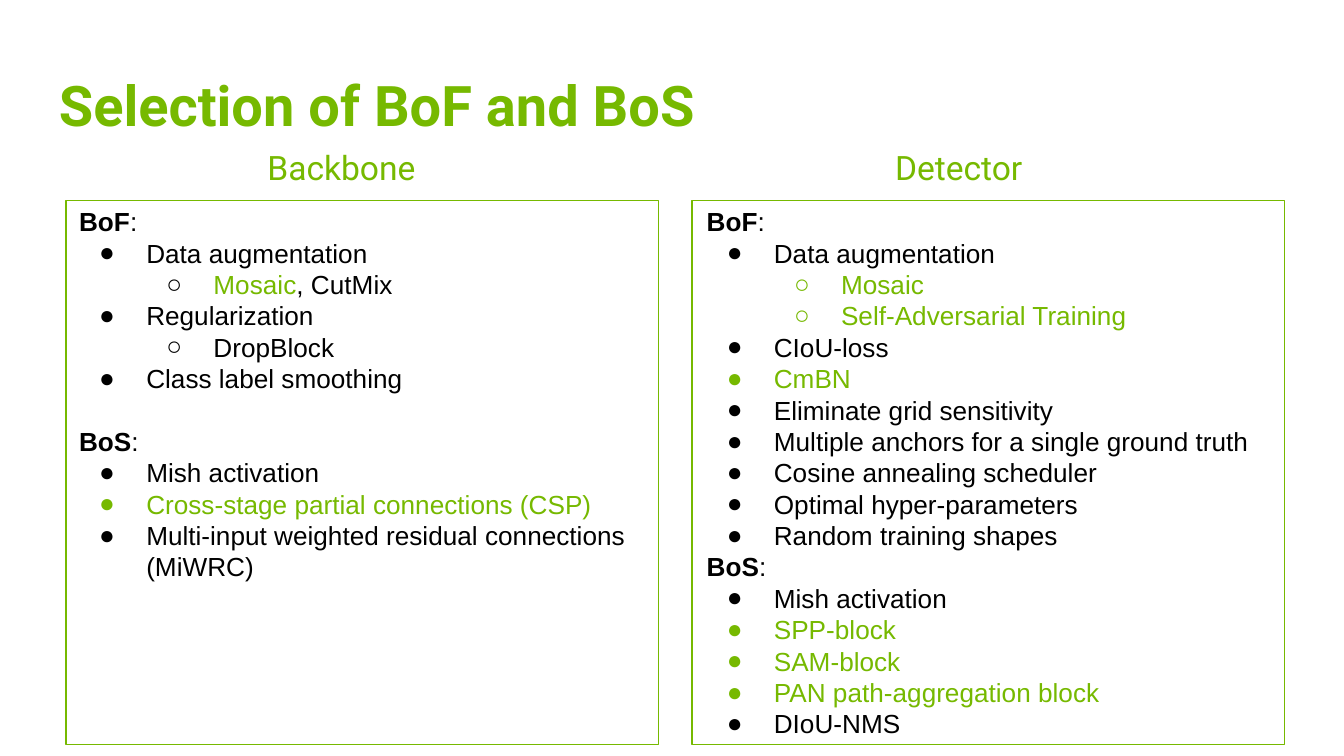
"""Build a slide that compares the BoF and BoS picks for backbone and detector."""
import dataclasses

import pptx
import pptx.dml.color
import pptx.enum.shapes
import pptx.enum.text
import pptx.oxml
import pptx.oxml.ns
import pptx.util
from pptx.util import Inches


@dataclasses.dataclass(frozen=True)
class Theme:
    green: str = "76B900"
    black: str = "000000"
    head: str = "Roboto"
    body: str = "Arial"
    title: int = 30
    label: int = 18
    text: int = 14


THEME = Theme()
MARKS = {1: "●", 2: "○"}

BACKBONE = [
    (0, "", "BoF"),
    (1, "", "Data augmentation"),
    (2, "Mosaic", ", CutMix"),
    (1, "", "Regularization"),
    (2, "", "DropBlock"),
    (1, "", "Class label smoothing"),
    (0, "", "BoS"),
    (1, "", "Mish activation"),
    (1, "Cross-stage partial connections (CSP)", ""),
    (1, "", "Multi-input weighted residual connections (MiWRC)"),
]
DETECTOR = [
    (0, "", "BoF"),
    (1, "", "Data augmentation"),
    (2, "Mosaic", ""),
    (2, "Self-Adversarial Training", ""),
    (1, "", "CIoU-loss"),
    (1, "CmBN", ""),
    (1, "", "Eliminate grid sensitivity"),
    (1, "", "Multiple anchors for a single ground truth"),
    (1, "", "Cosine annealing scheduler"),
    (1, "", "Optimal hyper-parameters"),
    (1, "", "Random training shapes"),
    (0, "", "BoS"),
    (1, "", "Mish activation"),
    (1, "SPP-block", ""),
    (1, "SAM-block", ""),
    (1, "PAN path-aggregation block", ""),
    (1, "", "DIoU-NMS"),
]


def rgb(tone):
    return pptx.dml.color.RGBColor.from_string(tone)


def style(font, name, size, tone, bold=False):
    font.name = name
    font.size = pptx.util.Pt(size)
    font.color.rgb = rgb(tone)
    font.bold = bold


def add_box(slide, left, top, width, height, pad_x=0.1, pad_y=0.1):
    box = slide.shapes.add_textbox(
        Inches(left), Inches(top), Inches(width), Inches(height))
    frame = box.text_frame
    frame.word_wrap = True
    frame.margin_left = frame.margin_right = Inches(pad_x)
    frame.margin_top = frame.margin_bottom = Inches(pad_y)
    return frame


def add_head(frame, text, size, bold=False):
    frame.text = text
    para = frame.paragraphs[0]
    para.line_spacing = 0.9
    style(para.runs[0].font, THEME.head, size, THEME.green, bold)


def add_frame(slide, left):
    rect = slide.shapes.add_shape(
        pptx.enum.shapes.MSO_SHAPE.RECTANGLE,
        Inches(left), Inches(1.49), Inches(4.41), Inches(4.05))
    rect.shadow.inherit = False
    rect.fill.background()
    rect.line.color.rgb = rgb(THEME.green)
    rect.line.width = pptx.util.Pt(0.75)


def add_mark(para, level, tone):
    para.level = level - 1
    props = para._p.get_or_add_pPr()
    props.set("marL", str(Inches(0.5 * level)))
    props.set("indent", str(Inches(-0.35)))
    space = pptx.oxml.ns.nsdecls("a")
    for item in (
        f'<a:buClr {space}><a:srgbClr val="{tone}"/></a:buClr>',
        f'<a:buFont {space} typeface="{THEME.body}"/>',
        f'<a:buChar {space} char="{MARKS[level]}"/>',
    ):
        props.append(pptx.oxml.parse_xml(item))


def add_row(para, level, new, old):
    if level:
        add_mark(para, level, THEME.black if old else THEME.green)
        parts = [(new, THEME.green, False), (old, THEME.black, False)]
    else:
        parts = [(old, THEME.black, True), (":", THEME.black, False)]
    for text, tone, bold in parts:
        if text:
            run = para.add_run()
            run.text = text
            style(run.font, THEME.body, THEME.text, tone, bold)


def add_list(slide, left, rows, gap):
    frame = add_box(slide, left, 1.43, 4.27, 3.92)
    for at, row in enumerate(rows):
        para = frame.add_paragraph() if at else frame.paragraphs[0]
        if at and row[0] == 0:
            para.space_before = pptx.util.Pt(gap)
        add_row(para, *row)


def main():
    deck = pptx.Presentation()
    deck.slide_width = Inches(10)
    deck.slide_height = deck.slide_width * 9 // 16
    slide = deck.slides.add_slide(deck.slide_layouts[6])
    columns = [(0.49, 0.49, "Backbone", BACKBONE, 16.8),
               (5.15, 5.16, "Detector", DETECTOR, 0)]
    for edge, *_ in reversed(columns):
        add_frame(slide, edge)
    title = add_box(slide, 0.34, 0.49, 9.32, 0.63)
    title.vertical_anchor = pptx.enum.text.MSO_ANCHOR.MIDDLE
    add_head(title, "Selection of BoF and BoS", THEME.title, True)
    for _, left, name, rows, gap in columns:
        add_list(slide, left, rows, gap)
        label = add_box(slide, left + 1.42, 1.09, 1.43, 0.48, 0.08, 0.04)
        add_head(label, name, THEME.label)
    deck.save("out.pptx")


if __name__ == "__main__":
    main()
